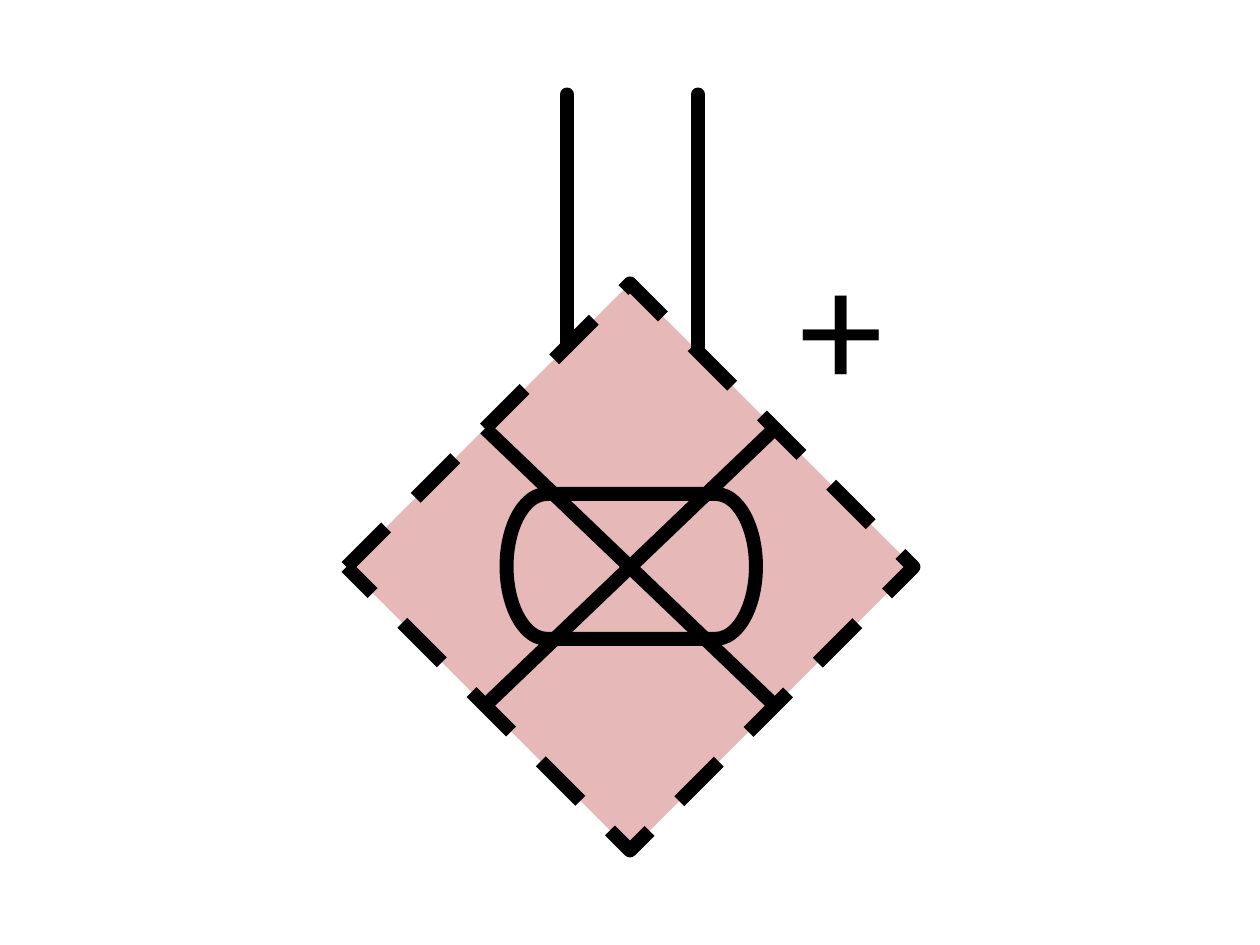
from dataclasses import dataclass

from lxml.etree import SubElement
from pptx import Presentation
from pptx.dml.color import RGBColor
from pptx.enum.dml import MSO_LINE
from pptx.enum.shapes import MSO_CONNECTOR, MSO_SHAPE
from pptx.enum.text import MSO_AUTO_SIZE
from pptx.oxml.ns import qn
from pptx.util import Emu, Pt

EMU_PER_PX = 9144


@dataclass(frozen=True)
class Theme:
    ink: RGBColor = RGBColor(0x00, 0x00, 0x00)
    body: RGBColor = RGBColor(0xE6, 0xB9, 0xB8)
    stroke: int = 8
    sign_size: int = 96
    font: str = "Calibri"


@dataclass(frozen=True)
class Outline:
    kind: MSO_SHAPE
    left: int
    top: int
    width: int
    height: int
    dash: MSO_LINE | None = None


@dataclass(frozen=True)
class Stroke:
    x1: int
    y1: int
    x2: int
    y2: int
    round_cap: bool = False


THEME = Theme()
DIAMOND = Outline(MSO_SHAPE.FLOWCHART_DECISION, 275, 225, 450, 450, MSO_LINE.DASH)
CAPSULE = Outline(MSO_SHAPE.FLOWCHART_TERMINATOR, 402, 392, 198, 115)
CROSS = [Stroke(615, 560, 385, 340), Stroke(615, 340, 385, 560)]
LEADS = [Stroke(x, 75, x, 275, round_cap=True) for x in (450, 554)]


def px(length: int) -> Emu:
    return Emu(length * EMU_PER_PX)


def style_line(line) -> None:
    line.color.rgb = THEME.ink
    line.width = Pt(THEME.stroke)


def draw_outline(shapes, outline: Outline) -> None:
    shape = shapes.add_shape(outline.kind, px(outline.left), px(outline.top),
                             px(outline.width), px(outline.height))
    shape.shadow.inherit = False
    shape.fill.solid()
    shape.fill.fore_color.rgb = THEME.body
    style_line(shape.line)
    if outline.dash is not None:
        shape.line.dash_style = outline.dash


def draw_stroke(shapes, stroke: Stroke) -> None:
    connector = shapes.add_connector(MSO_CONNECTOR.STRAIGHT, px(stroke.x1), px(stroke.y1),
                                     px(stroke.x2), px(stroke.y2))
    style_line(connector.line)
    properties = connector._element.spPr
    if stroke.round_cap:
        properties.find(qn("a:ln")).set("cap", "rnd")
    SubElement(properties, qn("a:effectLst"))


def draw_text(shapes, text: str, *, left: int, top: int, width: int, height: int,
              size: int, color: RGBColor, font: str) -> None:
    frame = shapes.add_textbox(px(left), px(top), px(width), px(height)).text_frame
    frame.word_wrap = False
    frame.auto_size = MSO_AUTO_SIZE.SHAPE_TO_FIT_TEXT
    run = frame.paragraphs[0].add_run()
    run.text = text
    run.font.size = Pt(size)
    run.font.color.rgb = color
    run.font.name = font


def main() -> None:
    presentation = Presentation()
    presentation.slide_width = px(1000)
    presentation.slide_height = px(750)
    slide = presentation.slides.add_slide(presentation.slide_layouts[6])
    symbol = slide.shapes.add_group_shape().shapes

    for outline in (DIAMOND, CAPSULE):
        draw_outline(symbol, outline)
    for stroke in CROSS:
        draw_stroke(symbol, stroke)
    draw_text(symbol, "+", left=625, top=170, width=87, height=172,
              size=THEME.sign_size, color=THEME.ink, font=THEME.font)
    for stroke in LEADS:
        draw_stroke(symbol, stroke)

    presentation.save("out.pptx")


if __name__ == "__main__":
    main()
